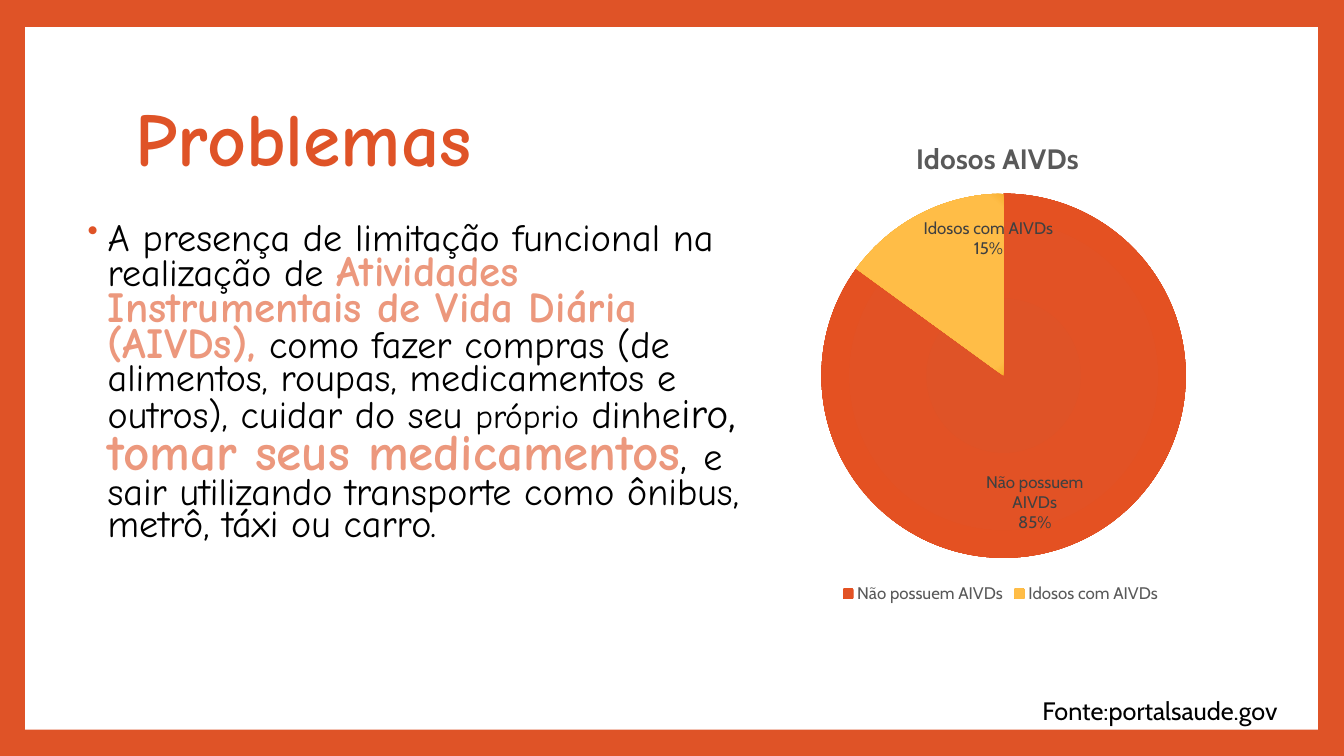
from dataclasses import dataclass

from lxml import etree
from pptx import Presentation
from pptx import util as u
from pptx.chart.data import CategoryChartData
from pptx.dml.color import RGBColor
from pptx.enum import chart as charts, shapes, text
from pptx.oxml import parse_xml
from pptx.oxml.ns import nsdecls, qn

EMU_PER_PX = 9144


@dataclass(frozen=True)
class Theme:
    orange: str = "DF5327"
    salmon: str = "EC987D"
    white: str = "FFFFFF"
    black: str = "000000"
    gray: str = "595959"
    dark: str = "404040"
    hand: str = "Comic Neue"
    sans: str = "Cabin"
    title: float = 54
    body: float = 27.2
    small: float = 23.8
    strong: float = 30.6
    larger: float = 29.8
    comma: float = 33.1
    highlight: float = 36.5
    source: float = 18
    chart_title: float = 20
    chart: float = 12


THEME = Theme()
SLICES = (
    ("Não possuem AIVDs", 85, ("DF5327", "E45122", "DB4313")),
    ("Idosos com AIVDs", 15, ("FFBD47", "FFBD47", "F8B030")),
)
BODY = (
    ("A presença de limitação funcional na realização de ", THEME.body, THEME.black, False),
    ("Atividades Instrumentais de Vida Diária (AIVDs),", THEME.strong, THEME.salmon, True),
    (" ", THEME.body, THEME.salmon, True),
    ("como fazer compras (de alimentos, roupas, medicamentos e outros), cuidar do seu ",
     THEME.body, THEME.black, False),
    ("próprio", THEME.small, THEME.black, False),
    (" dinhe", THEME.body, THEME.black, False),
    ("iro", THEME.larger, THEME.black, False),
    (", ", THEME.comma, THEME.black, False),
    ("tomar seus medicamentos", THEME.highlight, THEME.salmon, True),
    (",", THEME.larger, THEME.black, False),
    (" ", THEME.comma, THEME.orange, True),
    ("e sair utilizando transporte como ônibus, metrô, táxi ou carro.",
     THEME.body, THEME.black, False),
)


def px(*lengths):
    return [u.Emu(length * EMU_PER_PX) for length in lengths]


def style_font(font, size, color, name, bold=False):
    font.size = u.Pt(size)
    font.color.rgb = RGBColor.from_string(color)
    font.name = name
    font.bold = bold


def add_panel(page, frame):
    panel = page.shapes.add_shape(shapes.MSO_SHAPE.RECTANGLE, *px(*frame))
    panel.shadow.inherit = False
    panel.fill.solid()
    panel.fill.fore_color.rgb = RGBColor.from_string(THEME.white)
    panel.line.fill.background()


def add_text(page, frame, runs, font_name, anchor=text.MSO_ANCHOR.TOP, spacing=1.0):
    box = page.shapes.add_textbox(*px(*frame))
    box.text_frame.word_wrap = True
    box.text_frame.vertical_anchor = anchor
    para = box.text_frame.paragraphs[0]
    para.line_spacing = spacing
    for wording, size, color, bold in runs:
        span = para.add_run()
        span.text = wording
        style_font(span.font, size, color, font_name, bold)
    return para


def add_bullet(para, left, hang):
    para.space_before = u.Pt(14)
    props = para._p.get_or_add_pPr()
    margin, indent = px(left, -hang)
    props.set("marL", str(margin))
    props.set("indent", str(indent))
    color = etree.SubElement(props, qn("a:buClr"))
    etree.SubElement(color, qn("a:srgbClr"), val=THEME.orange)
    etree.SubElement(props, qn("a:buSzPct"), val="80000")
    etree.SubElement(props, qn("a:buChar"), char="•")


def radial_fill(colors):
    stops = "".join(
        f'<a:gs pos="{place}"><a:srgbClr val="{color}"/></a:gs>'
        for place, color in zip((0, 90000, 100000), colors)
    )
    return parse_xml(
        f'<a:gradFill {nsdecls("a")}><a:gsLst>{stops}</a:gsLst><a:path path="circle">'
        '<a:fillToRect l="100000" t="100000" r="100000" b="100000"/></a:path></a:gradFill>'
    )


def place_part(part, **settings):
    for old in part.findall(qn("c:layout")):
        part.remove(old)
    layout = etree.Element(qn("c:layout"))
    manual = etree.SubElement(layout, qn("c:manualLayout"))
    for key, value in settings.items():
        etree.SubElement(manual, qn(f"c:{key}"), val=str(value))
    wording = part.find(qn("c:tx"))
    part.insert(0 if wording is None else 1, layout)


def add_pie(page, frame):
    data = CategoryChartData()
    data.categories = [name for name, _, _ in SLICES]
    data.add_series("Series 1", [value for _, value, _ in SLICES])
    chart = page.shapes.add_chart(charts.XL_CHART_TYPE.PIE, *px(*frame), data).chart
    style_font(chart.font, THEME.chart, THEME.gray, THEME.sans)

    chart.has_title = True
    span = chart.chart_title.text_frame.paragraphs[0].add_run()
    span.text = "Idosos AIVDs"
    style_font(span.font, THEME.chart_title, THEME.gray, THEME.sans, True)
    chart.chart_title.include_in_layout = False

    chart.has_legend = True
    chart.legend.position = charts.XL_LEGEND_POSITION.BOTTOM
    chart.legend.include_in_layout = False
    style_font(chart.legend.font, THEME.chart, THEME.gray, THEME.sans)

    plot = chart.plots[0]
    plot.vary_by_categories = True
    series = plot.series[0]
    for index, (_, _, colors) in enumerate(SLICES):
        series.points[index].format.fill.solid()
        solid = series._element.xpath("c:dPt/c:spPr/a:solidFill")[0]
        solid.getparent().replace(solid, radial_fill(colors))

    labels = series.data_labels
    labels.show_percentage = True
    labels.show_category_name = True
    labels.show_value = False
    labels.number_format = "0%"
    labels.number_format_is_linked = False
    labels.position = charts.XL_LABEL_POSITION.INSIDE_END
    style_font(labels.font, THEME.chart, THEME.dark, THEME.sans)

    place_part(chart.chart_title._element, xMode="edge", yMode="edge", x=0.35, y=0.05)
    plot_area = chart._chartSpace.find(qn("c:chart")).find(qn("c:plotArea"))
    place_part(plot_area, layoutTarget="inner", xMode="edge", yMode="edge",
               x=0.2, y=0.17, w=0.61, h=0.73)


def main():
    deck = Presentation()
    deck.slide_width, deck.slide_height = px(1333, 750)
    page = deck.slides.add_slide(deck.slide_layouts[6])
    page.background.fill.solid()
    page.background.fill.fore_color.rgb = RGBColor.from_string(THEME.orange)

    add_panel(page, (25, 27, 1282, 697))
    add_text(page, (125, 67, 1080, 148), [("Problemas", THEME.title, THEME.orange, True)],
             THEME.hand, text.MSO_ANCHOR.MIDDLE, 0.9)
    body = add_text(page, (72, 219, 673, 466), BODY, THEME.hand, spacing=0.7)
    add_bullet(body, 25, 20)
    add_pie(page, (696, 108, 593, 495))
    add_text(page, (1024, 685, 264, 40),
             [("Fonte:portalsaude.gov", THEME.source, THEME.black, False)], THEME.sans)
    deck.save("out.pptx")


if __name__ == "__main__":
    main()
